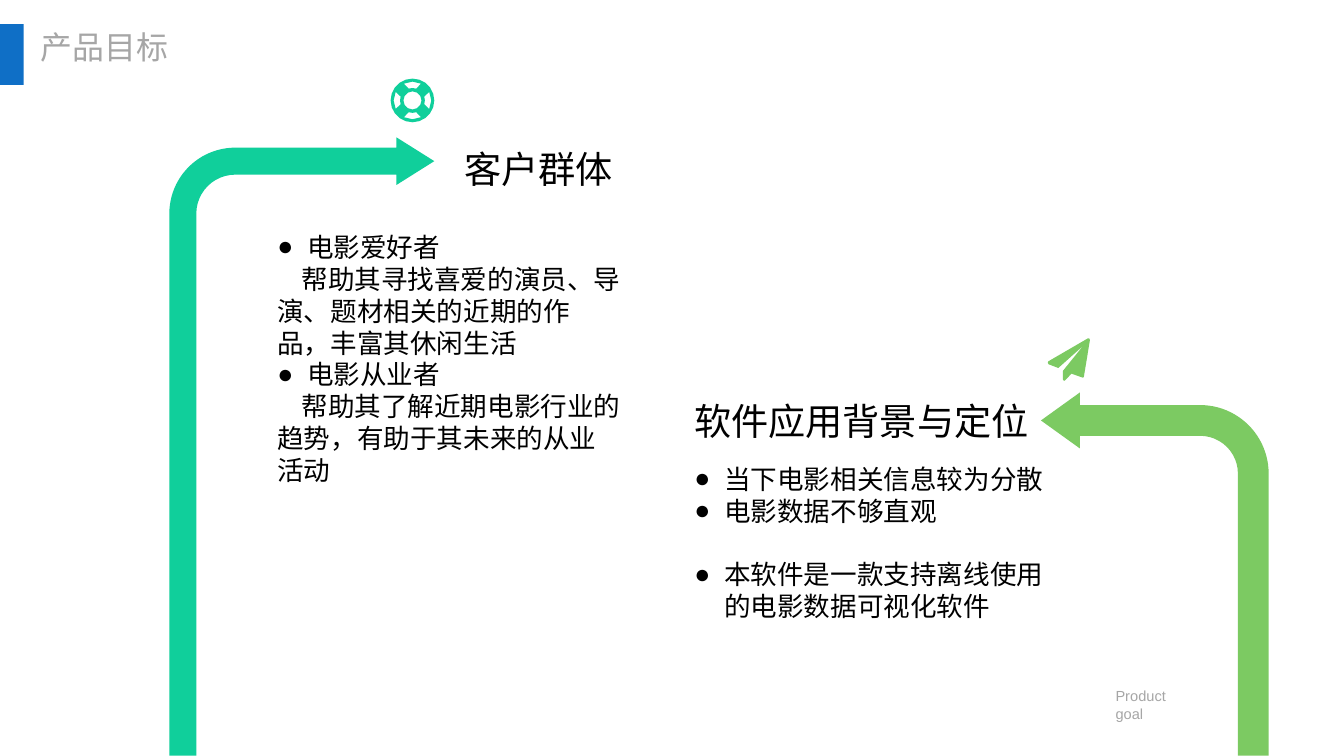
"""Build the product goal slide with two bent arrows, icons and bullet lists."""
import math
import pptx
import pptx.dml.color
import pptx.enum.shapes
import pptx.enum.text
import pptx.oxml.ns
import pptx.util
from lxml import etree

Cm = pptx.util.Cm
Pt = pptx.util.Pt
qn = pptx.oxml.ns.qn
KIND = pptx.enum.shapes.MSO_SHAPE

THEME = {
    "teal": "10CF9B", "green": "7CCA62", "blue": "0F6FC6",
    "grey": "A6A6A6", "black": "000000",
    "title": 24, "head": 28, "body": 20, "note": 11,
    "cjk": "Noto Sans CJK SC", "latin": "Arial", "main": "Calibri",
}
SIZE = (35.71, 20.09)
BAR = (0, 0.64, 0.63, 1.62)
ARROWS = [
    ((4.5, 3.65, 7.04, 16.43), (0.102, 0.09, 0.143, 0.249), "teal", False),
    ((27.66, 10.43, 6.05, 9.65), (0.135, 0.123, 0.171, 0.301), "green", True),
]
PLANE = [
    (28.96, 9.04), (28.8, 10.01), (28.78, 10.04), (28.75, 10.03),
    (28.47, 9.93), (28.3, 10.11), (28.27, 10.12), (28.24, 10.08),
    (28.24, 9.86), (28.78, 9.19), (28.12, 9.78), (27.86, 9.68),
    (27.84, 9.64), (27.86, 9.6), (28.91, 8.99), (28.94, 8.99),
]
RING = {"mid": (10.96, 2.67), "rim": 0.58, "hole": 0.24,
        "near": (0.33, 18), "far": (0.5, 27)}
LABELS = [
    ((1.09, 0.74, 3.8, 1.02), "产品目标", "title", "cjk", "grey", True),
    ((29.64, 18.26, 1.8, 0.9), "Product goal", "note", "latin", "grey", True),
    ((12.09, 3.76, 4.65, 1.45), "客户群体", "head", "main", "black", False),
    ((18.2, 10.46, 9.65, 1.45), "软件应用背景与定位", "head", "main", "black", False),
]
LISTS = [
    ((18.2, 12.17, 10.01, 4.52), [
        ("dot", "当下电影相关信息较为分散", 0),
        ("dot", "电影数据不够直观", 0),
        ("dot", "本软件是一款支持离线使用的电影数据可视化软件", 24),
    ]),
    ((7.12, 6.01, 9.65, 7.09), [
        ("dot", "电影爱好者", 0),
        ("plain", "帮助其寻找喜爱的演员、导演、题材相关的近期的作品，丰富其休闲生活", 0),
        ("dot", "电影从业者", 0),
        ("plain", "帮助其了解近期电影行业的趋势，有助于其未来的从业活动", 0),
    ]),
]
INDENT = {"dot": (0.79, -0.79), "plain": (0, 0.64)}


def tint(name):
    return pptx.dml.color.RGBColor.from_string(THEME[name])


def paint(shape, name):
    shape.shadow.inherit = False
    shape.fill.solid()
    shape.fill.fore_color.rgb = tint(name)
    shape.line.fill.background()


def add_kind(slide, kind, box, name):
    shape = slide.shapes.add_shape(kind, *map(Cm, box))
    paint(shape, name)
    return shape


def add_arrow(slide, box, bends, name, flip):
    arrow = add_kind(slide, KIND.BENT_ARROW, box, name)
    for i, bend in enumerate(bends):
        arrow.adjustments[i] = bend
    if flip:
        arrow.element.spPr.find(qn("a:xfrm")).set("flipH", "1")


def add_outline(slide, loops, name):
    loops = [[(Cm(x), Cm(y)) for x, y in loop] for loop in loops]
    pen = slide.shapes.build_freeform(*loops[0][0])
    pen.add_line_segments(loops[0][1:], close=True)
    for loop in loops[1:]:
        pen.move_to(*loop[0])
        pen.add_line_segments(loop[1:], close=True)
    paint(pen.convert_to_shape(), name)


def arc(radius, start, end, steps):
    x, y = RING["mid"]
    turns = [math.radians(start + (end - start) * i / steps) for i in range(steps + 1)]
    return [(x + radius * math.cos(t), y + radius * math.sin(t)) for t in turns]


def ring_loops():
    near, inner = RING["near"]
    far, outer = RING["far"]
    loops = [arc(RING["rim"], 0, 360, 20)[:-1], arc(RING["hole"], 0, 360, 12)[:-1]]
    for mid in range(0, 360, 90):
        loops.append(arc(far, mid - outer, mid + outer, 2)
                     + arc(near, mid + inner, mid - inner, 2))
    return loops


def add_frame(slide, box, tight=False):
    frame = slide.shapes.add_textbox(*map(Cm, box)).text_frame
    frame.word_wrap = True
    frame.vertical_anchor = pptx.enum.text.MSO_ANCHOR.TOP
    if tight:
        frame.margin_left = frame.margin_right = 0
        frame.margin_top = frame.margin_bottom = 0
    return frame


def add_run(para, text, size, font, name):
    run = para.add_run()
    run.text = text
    run.font.size = Pt(THEME[size])
    run.font.name = THEME[font]
    run.font.color.rgb = tint(name)
    if font == "cjk":
        etree.SubElement(run.font._element, qn("a:ea"), typeface=THEME[font])


def add_list(slide, box, items):
    frame = add_frame(slide, box)
    for i, (kind, text, gap) in enumerate(items):
        para = frame.paragraphs[0] if i == 0 else frame.add_paragraph()
        para.space_before = Pt(gap)
        left, first = INDENT[kind]
        props = para._p.get_or_add_pPr()
        props.set("marL", str(Cm(left)))
        props.set("indent", str(Cm(first)))
        props.set("hangingPunct", "0")
        if kind == "dot":
            etree.SubElement(props, qn("a:buFont"), typeface=THEME["latin"])
            etree.SubElement(props, qn("a:buChar"), char="●")
        add_run(para, text, "body", "main", "black")


def main():
    deck = pptx.Presentation()
    deck.slide_width, deck.slide_height = map(Cm, SIZE)
    slide = deck.slides.add_slide(deck.slide_layouts[6])
    for arrow in ARROWS:
        add_arrow(slide, *arrow)
    add_outline(slide, [PLANE], "green")
    add_outline(slide, ring_loops(), "teal")
    add_kind(slide, KIND.RECTANGLE, BAR, "blue")
    for box, text, size, font, name, tight in LABELS:
        frame = add_frame(slide, box, tight)
        add_run(frame.paragraphs[0], text, size, font, name)
    for box, items in LISTS:
        add_list(slide, box, items)
    deck.save("out.pptx")


if __name__ == "__main__":
    main()
